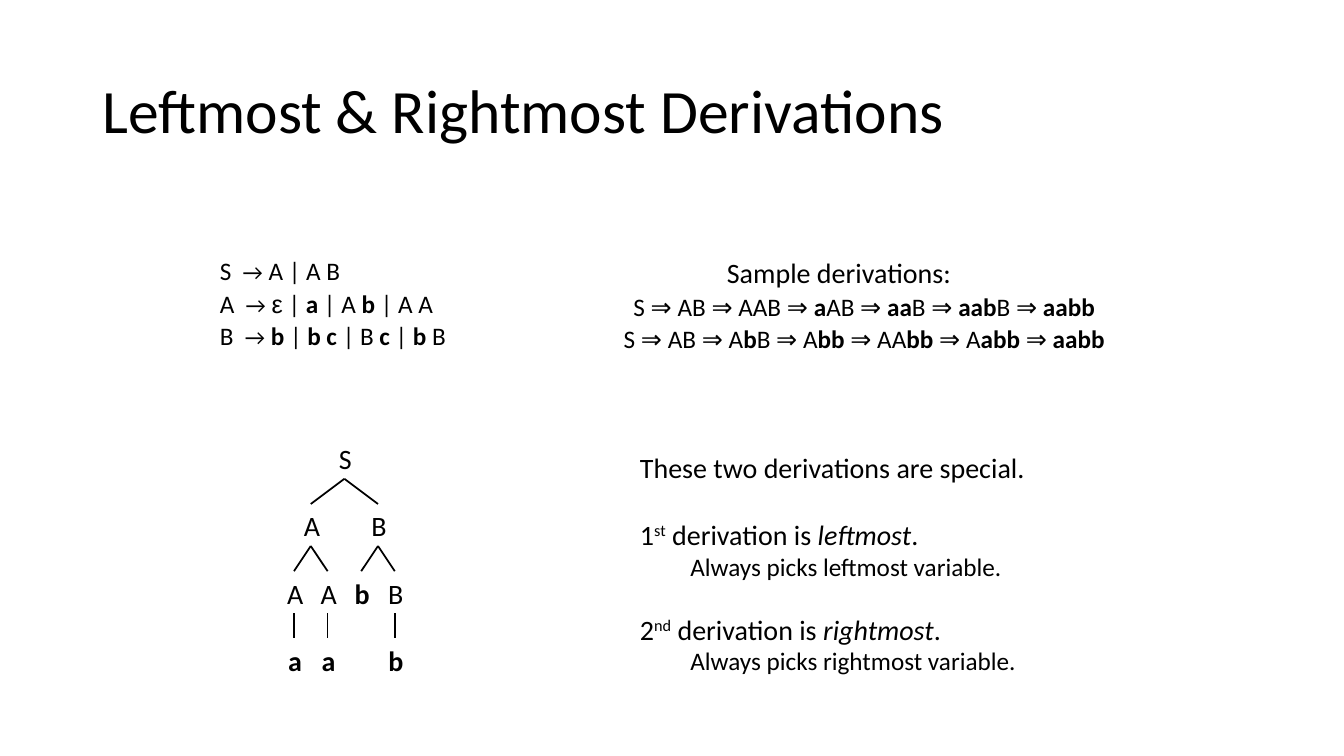
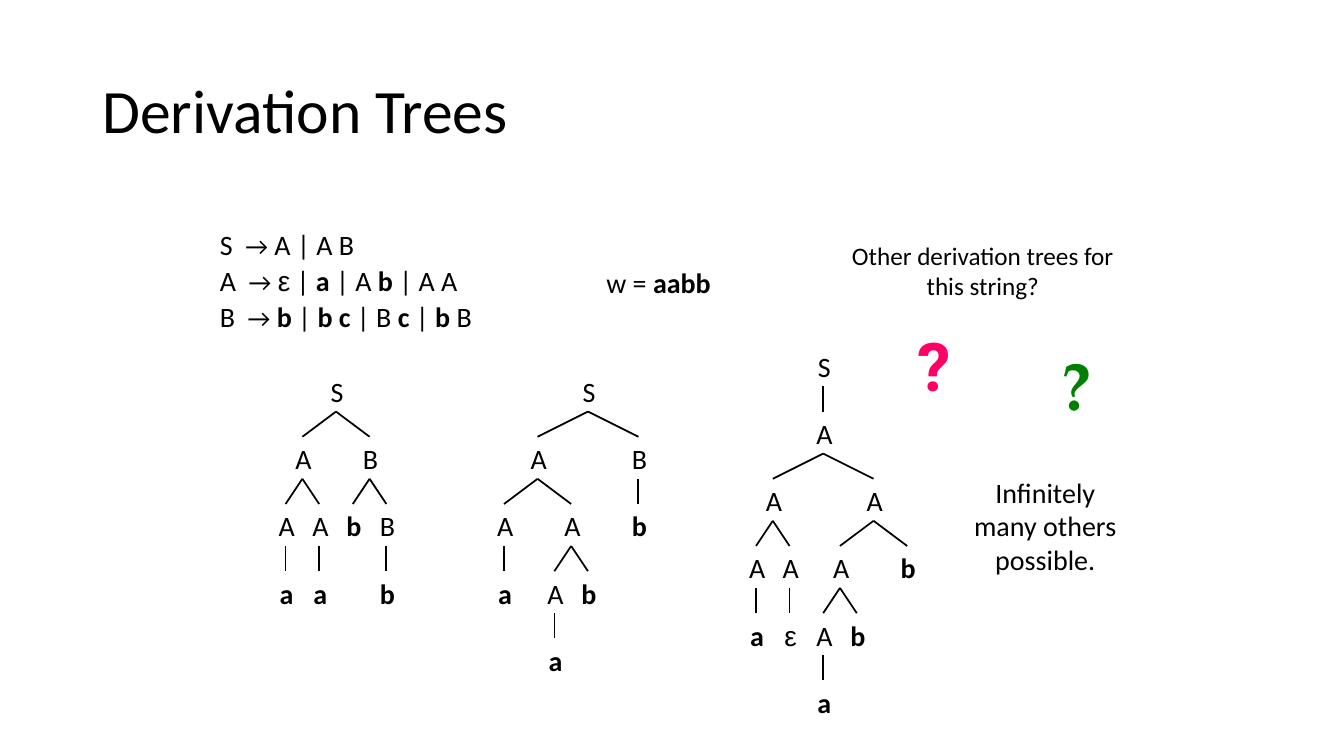
"""Build two slides on leftmost and rightmost derivations and derivation trees."""
from lxml import etree
from pptx import Presentation
from pptx.dml.color import RGBColor
from pptx.enum import shapes, text
from pptx.oxml import ns
from pptx.util import Pt

PX = 9525
BLACK = "000000"
FONT = "Calibri"
LEFT, CENTER = text.PP_ALIGN.LEFT, text.PP_ALIGN.CENTER
STEP, LEVEL, LABEL_HEIGHT = 16, 64, 40
colour = RGBColor.from_string


def add_text(slide, box, lines, align=LEFT, spacing=1.0, wrap=False, font=FONT, ink=BLACK):
    """Add (marked text, size, indent, space before) lines; * is bold, _ italic, ^ superscript."""
    frame = slide.shapes.add_textbox(*(PX * side for side in box)).text_frame
    frame.word_wrap = wrap
    frame.auto_size = text.MSO_AUTO_SIZE.SHAPE_TO_FIT_TEXT
    for number, (marked, size, indent, before) in enumerate(lines):
        paragraph = frame.add_paragraph() if number else frame.paragraphs[0]
        paragraph.alignment = align
        paragraph.line_spacing = spacing
        paragraph.space_before = Pt(before)
        properties = paragraph._p.get_or_add_pPr()
        properties.set("marL", str(indent * PX))
        properties.set("indent", "0")
        paragraph.font.name = font
        paragraph.font.size = Pt(size)
        paragraph.font.color.rgb = colour(ink)
        rule_head = marked.partition("→")[0] if "→" in marked else None
        for mark in "*_^→ε":
            marked = marked.replace(mark, f"¦{mark}¦")
        active = set()
        for piece in filter(None, marked.split("¦")):
            if piece in "*_^":
                active ^= {piece}
                continue
            run = paragraph.add_run()
            run.text = piece
            if "*" in active:
                run.font.bold = True
            if "_" in active:
                run.font.italic = True
            if "^" in active:
                run.font._element.set("baseline", "30000")
            if piece == rule_head:
                run.font._element.set("spc", str(size * 11))
            if piece == "→":
                run.font.size = Pt(size - 2)
            if piece == "ε":
                run.font.name = "Arial"


def draw_tree(slide, x, top, node):
    """Draw a (label, (step, child), ...) node centred on x, then its branches."""
    label, *branches = node
    add_text(slide, (x - 16, top, 34, 42), [(label, 20, 0, 0)], CENTER)
    for step, child in branches:
        child_x = x + step * STEP
        branch = slide.shapes.add_connector(
            shapes.MSO_CONNECTOR.STRAIGHT, x * PX, (top + LABEL_HEIGHT) * PX,
            child_x * PX, (top + LEVEL) * PX)
        branch.line.color.rgb = colour(BLACK)
        branch.line.width = Pt(1.25)
        etree.SubElement(branch._element.spPr, ns.qn("a:effectLst"))
        draw_tree(slide, child_x, top + LEVEL, child)


deck = Presentation()
deck.slide_width, deck.slide_height = 1280 * PX, 720 * PX

slides = []
for heading in ("Leftmost & Rightmost Derivations", "Derivation Trees"):
    slide = deck.slides.add_slide(deck.slide_layouts[5])
    title = slide.shapes.title
    title.left, title.top, title.width, title.height = 88 * PX, 39 * PX, 1104 * PX, 139 * PX
    title.text_frame.text = heading
    title.text_frame.vertical_anchor = text.MSO_ANCHOR.MIDDLE
    line = title.text_frame.paragraphs[0]
    line.alignment = LEFT
    line.line_spacing = 0.9
    line.font.name = FONT
    line.font.size = Pt(44)
    line.font.color.rgb = colour(BLACK)
    slides.append(slide)
derivations, trees = slides

rules = (
    "S → A | A B",
    "A → ε | *a* | A *b* | A A",
    "B → *b* | *b c* | B *c* | *b* B",
)
for slide, box, size in (
    (derivations, (200, 242, 239, 100), 18),
    (trees, (200, 216, 263, 109), 20),
):
    grammar = [(rule, size, 0, size / 5 if number else 0) for number, rule in enumerate(rules)]
    add_text(slide, box, grammar, spacing=0.9)

add_text(derivations, (523, 242, 552, 103), [
    ("Sample derivations:", 20, 0, 0),
    ("S ⇒ AB ⇒ AAB ⇒ *a*AB ⇒ *aa*B ⇒ *aab*B ⇒ *aabb*", 18, 48, 3.6),
    ("S ⇒ AB ⇒ A*b*B ⇒ A*bb* ⇒ AA*bb* ⇒ A*abb* ⇒ *aabb*", 18, 48, 3.6),
], CENTER, 0.9)
add_text(derivations, (600, 424, 390, 227), [
    ("These two derivations are special.", 20, 0, 0),
    ("1^st^ derivation is _leftmost_.", 20, 0, 24),
    ("Always picks leftmost variable.", 18, 48, 0),
    ("2^nd^ derivation is _rightmost_.", 20, 0, 22),
    ("Always picks rightmost variable.", 18, 48, 0),
])

leaf_a, leaf_b, leaf_empty = ("*a*",), ("*b*",), ("ε",)
a_to_a = ("A", (0, leaf_a))
a_to_ab = ("A", (-1, a_to_a), (1, leaf_b))
balanced = (
    "S",
    (-2, ("A", (-1, a_to_a), (1, a_to_a))),
    (2, ("B", (-1, leaf_b), (1, ("B", (0, leaf_b))))),
)
left_heavy = (
    "S",
    (-3, ("A", (-2, a_to_a), (2, a_to_ab))),
    (3, ("B", (0, leaf_b))),
)
with_empty = (
    "S",
    (0, ("A",
         (-3, ("A", (-1, a_to_a), (1, ("A", (0, leaf_empty))))),
         (3, ("A", (-2, a_to_ab), (2, leaf_b))))),
)
for slide, x, top, tree in (
    (derivations, 328, 416, balanced),
    (trees, 320, 352, balanced),
    (trees, 560, 352, left_heavy),
    (trees, 784, 328, with_empty),
):
    draw_tree(slide, x, top, tree)

add_text(trees, (568, 248, 120, 42), [("w = *aabb*", 20, 0, 0)])
for box, remark, size in (
    ((784, 224, 304, 68), "Other derivation trees for this string?", 18),
    ((912, 448, 167, 106), "Infinitely many others possible.", 20),
):
    add_text(trees, box, [(remark, size, 0, 0)], CENTER, wrap=True)
for box, font, ink in (
    ((864, 304, 51, 87), "Roboto", "FF0066"),
    ((1001, 322, 48, 86), "TeX Gyre Pagella", "008000"),
):
    add_text(trees, box, [("*?*", 48, 0, 0)], CENTER, font=font, ink=ink)

deck.save("out.pptx")
